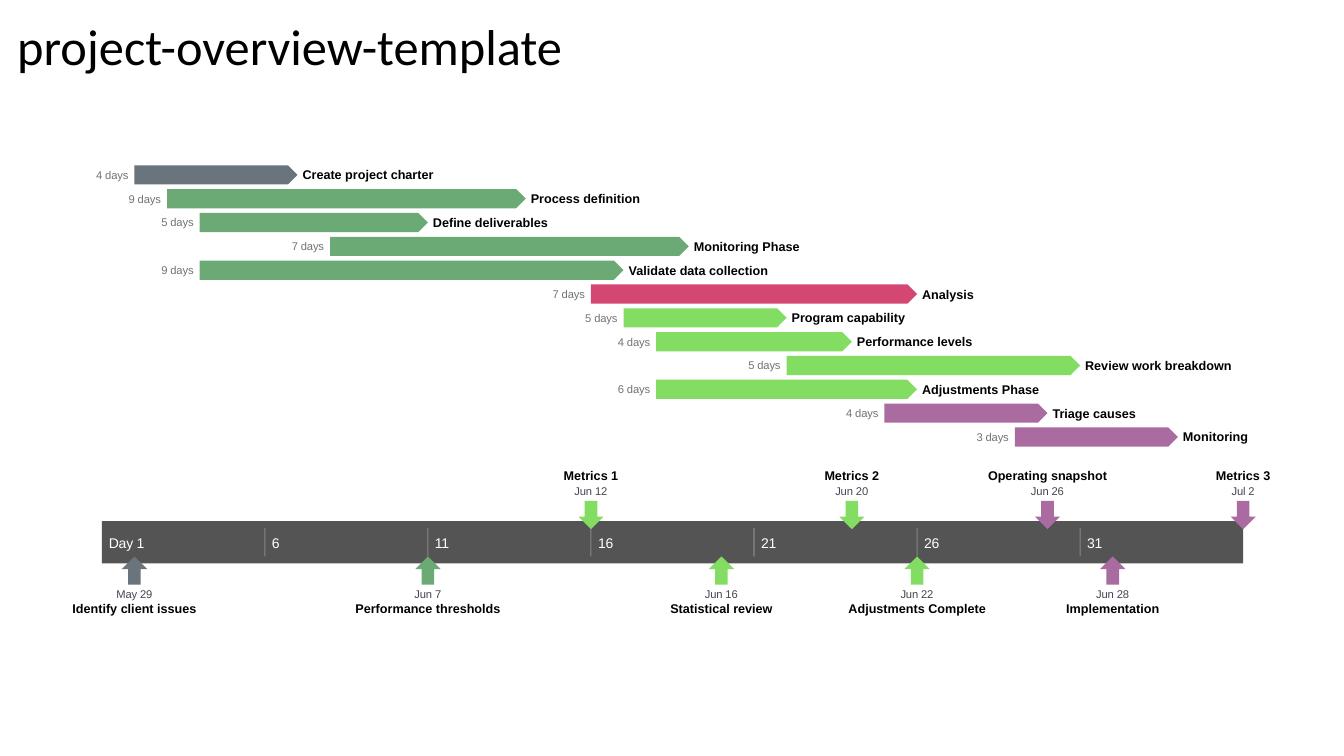
from dataclasses import dataclass
from typing import Any

from lxml.etree import SubElement
from pptx import Presentation
from pptx.dml.color import RGBColor
from pptx.enum.shapes import MSO_CONNECTOR as Connector, MSO_SHAPE as Preset
from pptx.enum.text import MSO_ANCHOR as Anchor, MSO_AUTO_SIZE as AutoSize, PP_ALIGN as Align
from pptx.oxml.ns import qn
from pptx.util import Inches, Pt


@dataclass(frozen=True)
class TextStyle:
    size: float
    color: str
    font: str = "Arial"
    bold: bool = False
    spacing: int = 0  # hundredths of a point


@dataclass(frozen=True)
class Theme:
    slate: str = "69747C"
    green: str = "6BAA75"
    red: str = "D54773"
    lime: str = "84DD63"
    purple: str = "AA6BA0"
    band: str = "545454"
    tick: str = "FFFFFF"
    title: TextStyle = TextStyle(36, "000000", "Calibri")
    label: TextStyle = TextStyle(9, "000000", bold=True)
    duration: TextStyle = TextStyle(8, "737373", spacing=-10)
    date: TextStyle = TextStyle(8, "454551", spacing=-10)
    scale: TextStyle = TextStyle(10, "FFFFFF", spacing=-15)


@dataclass(frozen=True)
class Task:
    name: str
    duration: str
    start: int  # day on the scale
    span: int  # calendar days
    color: str
    name_width: float


@dataclass(frozen=True)
class Milestone:
    name: str
    date: str
    day: int
    color: str
    name_width: float


@dataclass(frozen=True)
class MilestoneRow:
    arrow: Any
    arrow_top: float
    name_top: float
    date_top: float
    milestones: list[Milestone]


THEME = Theme()

# Time scale
BAND_LEFT, BAND_TOP, BAND_WIDTH, BAND_HEIGHT = 1.01, 5.17, 11.32, 0.42
DAY_WIDTH = BAND_WIDTH / 35
TICK_TOP, TICK_BOTTOM = 5.24, 5.52
FIRST_DAY_WIDTH, DAY_NUMBER_WIDTH = 0.4, 0.2

# Task rows
FIRST_ROW, ROW_PITCH, BAR_HEIGHT = 1.64, 2.6 / 11, 0.19
DURATION_WIDTH, GAP = 0.33, 0.05
NAME_HEIGHT, SMALL_HEIGHT = 0.14, 0.13
ARROW_WIDTH, ARROW_HEIGHT = 0.25, 0.28

TASKS = [
    Task("Create project charter", "4 days", 2, 5, THEME.slate, 1.31),
    Task("Process definition", "9 days", 3, 11, THEME.green, 1.1),
    Task("Define deliverables", "5 days", 4, 7, THEME.green, 1.15),
    Task("Monitoring Phase", "7 days", 8, 11, THEME.green, 1.06),
    Task("Validate data collection", "9 days", 4, 13, THEME.green, 1.39),
    Task("Analysis", "7 days", 16, 10, THEME.red, 0.53),
    Task("Program capability", "5 days", 17, 5, THEME.lime, 1.14),
    Task("Performance levels", "4 days", 18, 6, THEME.lime, 1.15),
    Task("Review work breakdown", "5 days", 22, 9, THEME.lime, 1.46),
    Task("Adjustments Phase", "6 days", 18, 8, THEME.lime, 1.17),
    Task("Triage causes", "4 days", 25, 5, THEME.purple, 0.83),
    Task("Monitoring", "3 days", 29, 5, THEME.purple, 0.72),
]

MILESTONE_ROWS = [
    MilestoneRow(Preset.DOWN_ARROW, 4.97, 4.65, 4.81, [
        Milestone("Metrics 1", "Jun 12", 16, THEME.lime, 0.56),
        Milestone("Metrics 2", "Jun 20", 24, THEME.lime, 0.56),
        Milestone("Operating snapshot", "Jun 26", 30, THEME.purple, 1.19),
        Milestone("Metrics 3", "Jul 2", 36, THEME.purple, 0.56),
    ]),
    MilestoneRow(Preset.UP_ARROW, 5.52, 5.97, 5.83, [
        Milestone("Identify client issues", "May 29", 2, THEME.slate, 1.24),
        Milestone("Performance thresholds", "Jun 7", 11, THEME.green, 1.44),
        Milestone("Statistical review", "Jun 16", 20, THEME.lime, 1.03),
        Milestone("Adjustments Complete", "Jun 22", 26, THEME.lime, 1.38),
        Milestone("Implementation", "Jun 28", 32, THEME.purple, 0.93),
    ]),
]


def day_x(day: int) -> float:
    return BAND_LEFT + (day - 1) * DAY_WIDTH


def set_all(target: Any, values: dict[str, Any]) -> None:
    for attribute, value in values.items():
        setattr(target, attribute, value)


def write(frame: Any, text: str, style: TextStyle, align: Any = Align.LEFT) -> None:
    paragraph = frame.paragraphs[0]
    paragraph.alignment = align
    run = paragraph.add_run()
    run.text = text
    set_all(run.font, {"name": style.font, "size": Pt(style.size), "bold": style.bold})
    run.font.color.rgb = RGBColor.from_string(style.color)
    if style.spacing:
        run._r.get_or_add_rPr().set("spc", str(style.spacing))


def add_text(slide: Any, text: str, style: TextStyle, left: float, top: float,
             width: float, height: float, align: Any = Align.LEFT) -> None:
    box = slide.shapes.add_textbox(Inches(left), Inches(top), Inches(width), Inches(height))
    set_all(box.text_frame, {"margin_left": 0, "margin_right": 0, "margin_top": 0,
                             "margin_bottom": 0, "word_wrap": False,
                             "vertical_anchor": Anchor.MIDDLE})
    write(box.text_frame, text, style, align)


def add_block(slide: Any, preset: Any, color: str, left: float, top: float,
              width: float, height: float) -> None:
    block = slide.shapes.add_shape(preset, Inches(left), Inches(top), Inches(width), Inches(height))
    block.shadow.inherit = False
    block.fill.solid()
    block.fill.fore_color.rgb = RGBColor.from_string(color)
    block.line.fill.background()


def add_tick(slide: Any, x: float) -> None:
    tick = slide.shapes.add_connector(Connector.STRAIGHT, Inches(x), Inches(TICK_TOP),
                                      Inches(x), Inches(TICK_BOTTOM))
    tick.line.width = Pt(0.75)
    tick.line.color.rgb = RGBColor.from_string(THEME.tick)
    properties = tick._element.spPr
    SubElement(next(properties.iter(qn("a:srgbClr"))), qn("a:alpha"), val="30000")
    SubElement(properties, qn("a:effectLst"))


def add_title(slide: Any, text: str) -> None:
    title = slide.shapes.title
    set_all(title, {"left": Inches(0.07), "top": Inches(0.1),
                    "width": Inches(8.09), "height": Inches(0.71)})
    set_all(title.text_frame, {"vertical_anchor": Anchor.TOP, "word_wrap": True,
                               "auto_size": AutoSize.SHAPE_TO_FIT_TEXT})
    write(title.text_frame, text, THEME.title)


def add_scale(slide: Any) -> None:
    add_block(slide, Preset.RECTANGLE, THEME.band, BAND_LEFT, BAND_TOP, BAND_WIDTH, BAND_HEIGHT)
    for day in range(1, 32, 5):
        first = day == 1
        add_text(slide, "Day 1" if first else str(day), THEME.scale, day_x(day) + 0.07, 5.31,
                 FIRST_DAY_WIDTH if first else DAY_NUMBER_WIDTH, 0.16)
        if not first:
            add_tick(slide, day_x(day))


def add_task(slide: Any, task: Task, top: float) -> None:
    left, width, middle = day_x(task.start), task.span * DAY_WIDTH, top + BAR_HEIGHT / 2
    add_block(slide, Preset.PENTAGON, task.color, left, top, width, BAR_HEIGHT)
    add_text(slide, task.duration, THEME.duration, left - GAP - DURATION_WIDTH,
             middle - SMALL_HEIGHT / 2, DURATION_WIDTH, SMALL_HEIGHT)
    add_text(slide, task.name, THEME.label, left + width + GAP,
             middle - NAME_HEIGHT / 2, task.name_width, NAME_HEIGHT)


def add_milestone(slide: Any, row: MilestoneRow, milestone: Milestone) -> None:
    center = day_x(milestone.day)
    date_width = 0.06 * len(milestone.date)
    add_block(slide, row.arrow, milestone.color, center - ARROW_WIDTH / 2, row.arrow_top,
              ARROW_WIDTH, ARROW_HEIGHT)
    add_text(slide, milestone.name, THEME.label, center - milestone.name_width / 2,
             row.name_top, milestone.name_width, NAME_HEIGHT, Align.CENTER)
    add_text(slide, milestone.date, THEME.date, center - date_width / 2,
             row.date_top, date_width, SMALL_HEIGHT, Align.CENTER)


def main() -> None:
    deck = Presentation()
    set_all(deck, {"slide_width": Inches(13.33), "slide_height": Inches(7.5)})
    slide = deck.slides.add_slide(deck.slide_layouts[5])
    add_title(slide, "project-overview-template")
    add_scale(slide)
    for index, task in enumerate(TASKS):
        add_task(slide, task, FIRST_ROW + index * ROW_PITCH)
    for row in MILESTONE_ROWS:
        for milestone in row.milestones:
            add_milestone(slide, row, milestone)
    deck.save("out.pptx")


if __name__ == "__main__":
    main()
